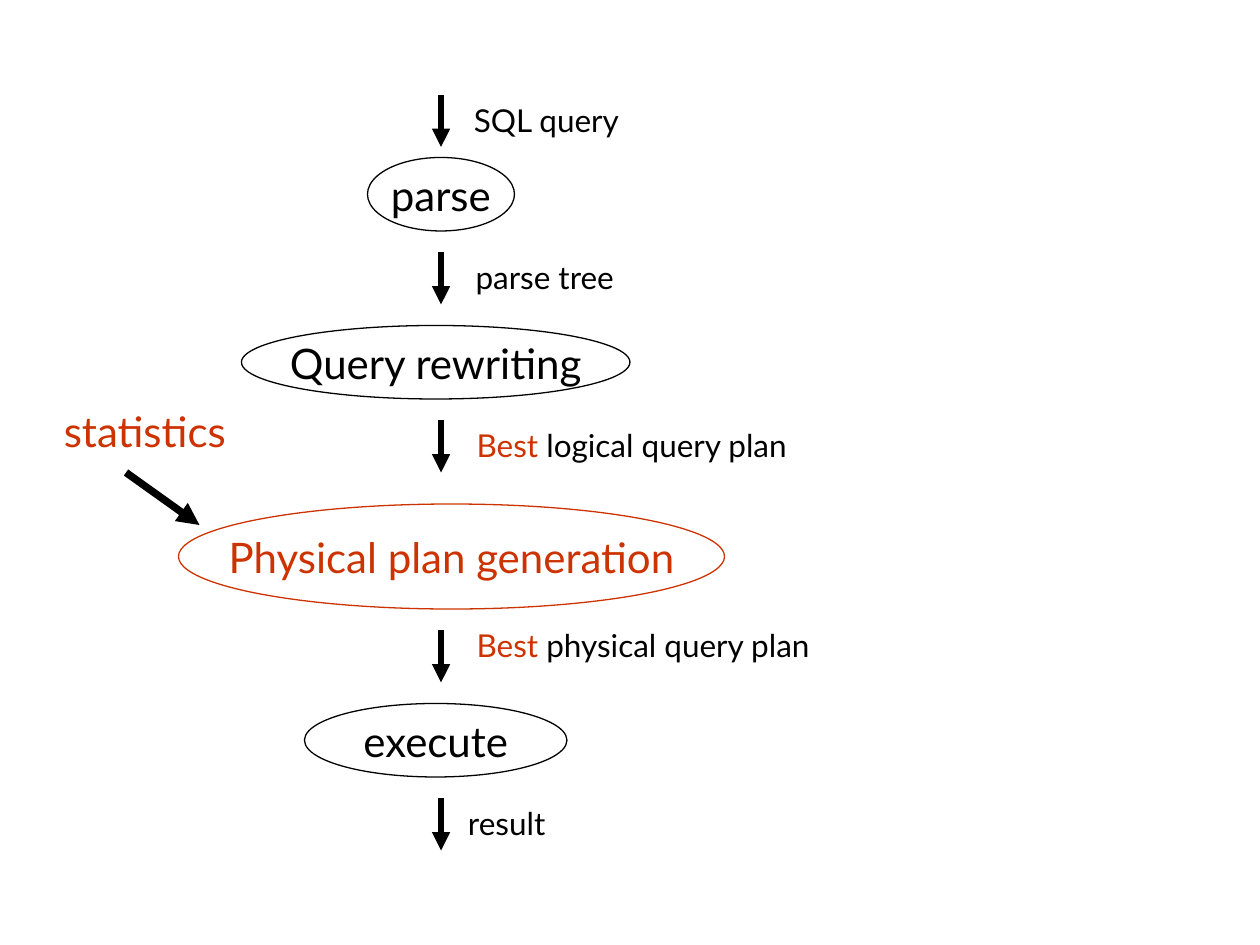
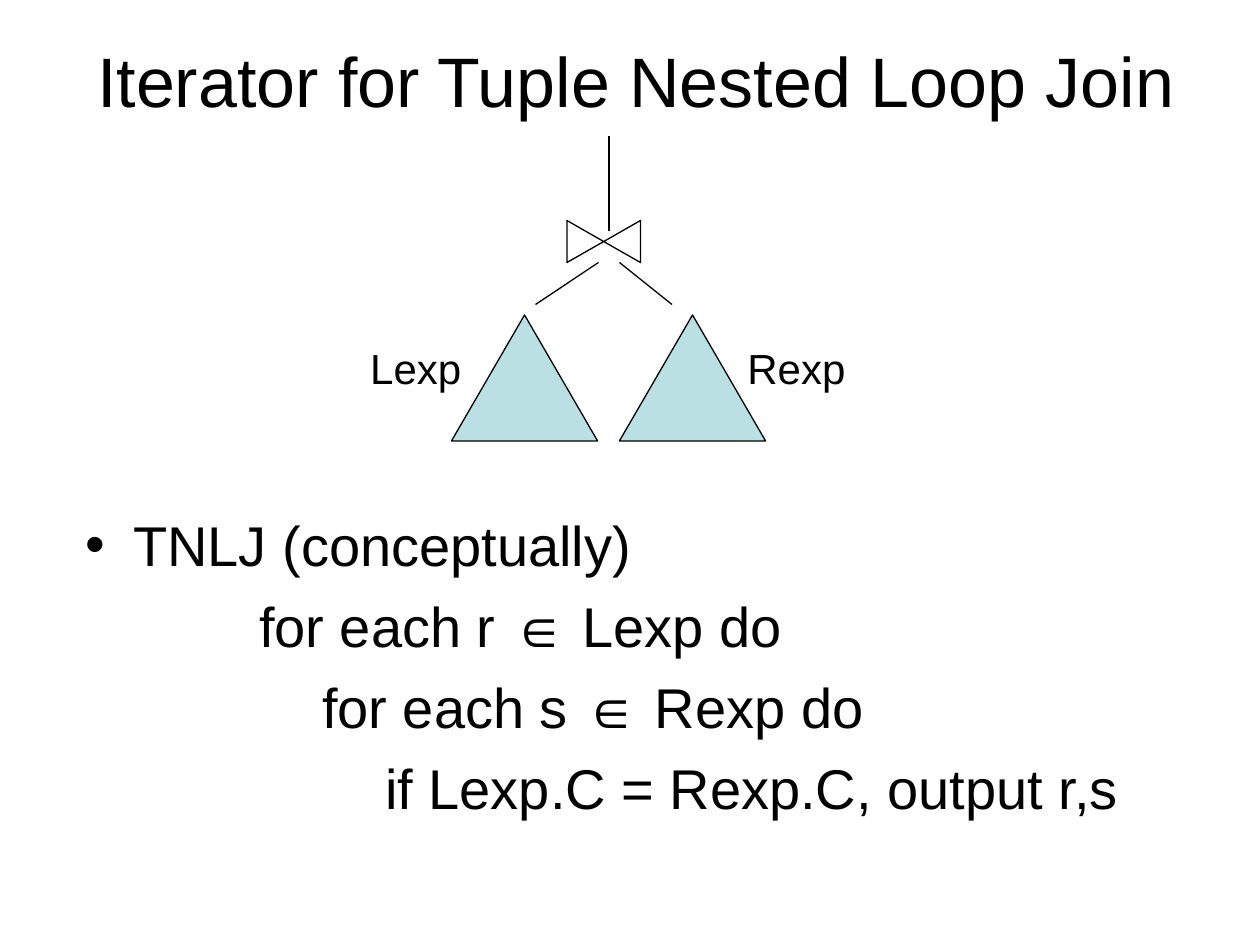
from pptx import Presentation
from pptx.dml.color import RGBColor as Rgb
from pptx.enum.shapes import MSO_CONNECTOR as Link, MSO_SHAPE as Kind
from pptx.enum.text import MSO_ANCHOR as Anchor, PP_ALIGN as Align
from pptx.oxml.ns import qn
from pptx.util import Pt
from lxml.etree import SubElement as Sub

COLORS = {"black": "000000", "white": "FFFFFF", "red": "CC3300", "teal": "BBE0E3"}
HAIR = 0.75
PLAN, JOIN = "Lato", "Arial"


def tint(name):
    return Rgb.from_string(COLORS[name])


def write(para, words, size=24, font=PLAN, color="black", align=Align.LEFT):
    para.alignment = align
    parts = [(words, color)] if isinstance(words, str) else words
    for part, shade in parts:
        run = para.add_run()
        run.text = part
        run.font.size = Pt(size)
        run.font.name = font
        run.font.color.rgb = tint(shade)


def box(slide, left, top, width, height, wrap=False, anchor=Anchor.TOP):
    frame = slide.shapes.add_textbox(Pt(left), Pt(top), Pt(width), Pt(height)).text_frame
    frame.word_wrap = wrap
    frame.vertical_anchor = anchor
    return frame


def label(slide, words, left, top, width, height, **style):
    frame = box(slide, left, top, width, height, anchor=Anchor.MIDDLE)
    write(frame.paragraphs[0], words, **style)


def figure(slide, kind, left, top, width, height, fill="white", line="black"):
    shape = slide.shapes.add_shape(kind, Pt(left), Pt(top), Pt(width), Pt(height))
    shape.shadow.inherit = False
    shape.fill.solid()
    shape.fill.fore_color.rgb = tint(fill)
    shape.line.color.rgb = tint(line)
    shape.line.width = Pt(HAIR)
    return shape


def step(slide, words, left, top, width, height=42, color="black"):
    oval = figure(slide, Kind.OVAL, left, top, width, height, line=color)
    frame = oval.text_frame
    frame.word_wrap = False
    frame.vertical_anchor = Anchor.MIDDLE
    write(frame.paragraphs[0], words, color=color, align=Align.CENTER)


def line(slide, start, end, width=HAIR, arrow=False):
    link = slide.shapes.add_connector(Link.STRAIGHT, *map(Pt, start + end))
    link.line.color.rgb = tint("black")
    link.line.width = Pt(width)
    props = link._element.spPr
    if arrow:
        Sub(props.find(qn("a:ln")), qn("a:tailEnd"), type="triangle")
    Sub(props, qn("a:effectLst"))


def indent(para, left, hang=0, bullet=None):
    props = para._p.get_or_add_pPr()
    props.set("marL", str(Pt(left)))
    props.set("indent", str(-Pt(hang)))
    if bullet:
        Sub(props, qn("a:buFont"), typeface=JOIN)
        Sub(props, qn("a:buChar"), char=bullet)
    else:
        Sub(props, qn("a:buNone"))


def draw_plan(slide):
    step(slide, "parse", 210, 90, 84)
    step(slide, "Query rewriting", 138, 186, 222)
    step(slide, "Physical plan generation", 102, 288, 312, 60, "red")
    step(slide, "execute", 174, 402, 150)

    for top in (54, 144, 240, 360, 456):
        line(slide, (252, top), (252, top + 30), 3.5, True)
    line(slide, (72, 270), (114, 300), 4.25, True)

    flows = [
        ("SQL query", 261.5, 54, 101.5),
        ("parse tree", 261, 144, 100.5),
        ([("Best", "red"), (" logical query plan", "black")], 258, 240, 206),
        ([("Best", "red"), (" physical query plan", "black")], 258, 354, 219),
        ("result", 259.5, 456, 60),
    ]
    for words, left, top, width in flows:
        label(slide, words, left, top, width, 28.8, size=18, align=Align.CENTER)
    label(slide, "statistics", 26.5, 228, 112.5, 36, color="red", align=Align.CENTER)


def draw_join(slide):
    label(slide, "Iterator for Tuple Nested Loop Join", 48.5, 18, 633, 55.4,
          size=40, font=JOIN)
    line(slide, (342, 150), (306, 174))
    line(slide, (354, 150), (384, 174))
    figure(slide, Kind.FLOWCHART_COLLATE, 333, 117, 24, 42).rotation = 270
    for left in (258, 354):
        figure(slide, Kind.ISOSCELES_TRIANGLE, left, 180, 83.5, 72, "teal")
    line(slide, (348, 78), (348, 132))
    for words, left in (("Lexp", 204.5), ("Rexp", 420)):
        label(slide, words, left, 192, 72, 36, font=JOIN)

    frame = box(slide, 42, 288, 612, 234, wrap=True)
    first = frame.paragraphs[0]
    indent(first, 27, 27, "•")
    write(first, "TNLJ (conceptually)", size=32, font=JOIN)
    loops = ["for each r ∈ Lexp do", "for each s ∈ Rexp do",
             "if Lexp.C = Rexp.C, output r,s"]
    for depth, words in enumerate(loops):
        para = frame.add_paragraph()
        indent(para, 99 + 36 * depth)
        para.space_before = Pt(8)
        write(para, words, size=32, font=JOIN)


def main():
    deck = Presentation()
    deck.slide_width, deck.slide_height = Pt(720), Pt(540)
    for draw in (draw_plan, draw_join):
        draw(deck.slides.add_slide(deck.slide_layouts[6]))
    deck.save("out.pptx")


if __name__ == "__main__":
    main()
